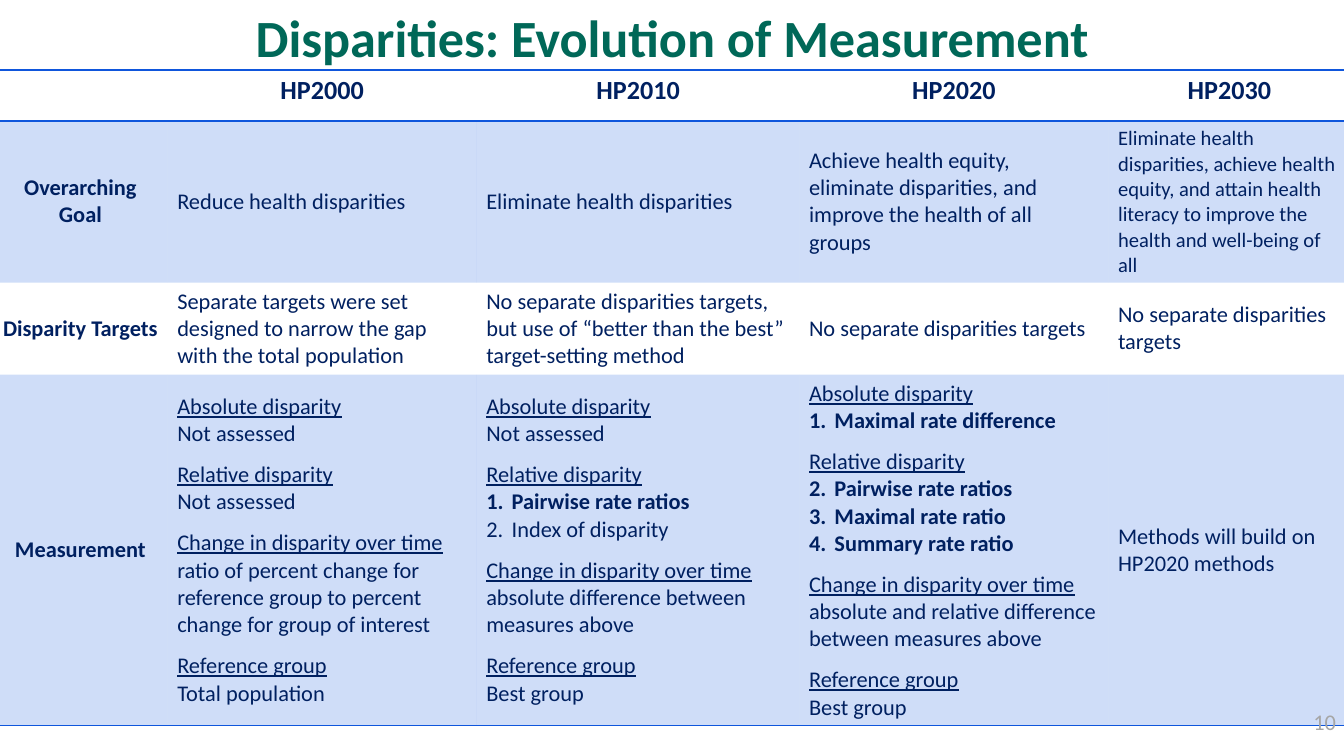
from lxml import etree
from pptx import Presentation
from pptx.dml.color import RGBColor
from pptx.enum.text import MSO_ANCHOR as ANCHOR, PP_ALIGN as ALIGN
from pptx.oxml.ns import qn
from pptx.util import Cm, Pt

NAVY, BLUE, GREEN, GRAY = "002060", "0F56DC", "006858", "A6A6A6"
COLS = [3.3, 5.84, 6.1, 5.84, 4.57]
ROWS = [0.8, 3.06, 1.74, 6.63]
NO_STYLE = "{2D5ABB26-0587-4C30-8999-92F81FD0307C}"

HEADS = ["", "HP2000", "HP2010", "HP2020", "HP2030"]
GOALS = [
    "Overarching Goal",
    "Reduce health disparities",
    "Eliminate health disparities",
    "Achieve health equity, eliminate disparities, and improve the health of all groups",
    "Eliminate health disparities, achieve health equity, and attain health literacy "
    "to improve the health and well-being of all",
]
TARGETS = [
    "Disparity Targets",
    "Separate targets were set designed to narrow the gap with the total population",
    "No separate disparities targets, but use of “better than the best” target-setting method",
    "No separate disparities targets",
    "No separate disparities targets",
]
ABSOLUTE, RELATIVE = "Absolute disparity", "Relative disparity"
CHANGE, REFERENCE = "Change in disparity over time ", "Reference group"
MEASURES = [
    "Measurement",
    [
        (ABSOLUTE, "Not assessed"),
        (RELATIVE, "Not assessed"),
        (CHANGE, "ratio of percent change for reference group to percent change "
                 "for group of interest"),
        (REFERENCE, "Total population"),
    ],
    [
        (ABSOLUTE, "Not assessed"),
        (RELATIVE, 1, [("Pairwise rate ratios", True), ("Index of disparity", False)]),
        (CHANGE, "absolute difference between measures above"),
        (REFERENCE, "Best group"),
    ],
    [
        (ABSOLUTE, 1, [("Maximal rate difference", True)]),
        (RELATIVE, 2, [("Pairwise rate ratios", True), ("Maximal rate ratio", True),
                       ("Summary rate ratio", True)]),
        (CHANGE, "absolute and relative difference between measures above"),
        (REFERENCE, "Best group"),
    ],
    "Methods will build on HP2020 methods",
]


def rgb(color):
    return RGBColor.from_string(color)


def add_run(p, text, size=12, color=NAVY, bold=False, underline=False):
    r = p.add_run()
    r.text = text
    r.font.name = "Calibri"
    r.font.size = Pt(size)
    r.font.bold = bold
    r.font.underline = underline
    r.font.color.rgb = rgb(color)


def add_text(tf, text, align=ALIGN.LEFT, before=0, number=None, **fmt):
    p = tf.paragraphs[0]
    if p.runs:
        p = tf.add_paragraph()
    p.alignment = align
    if before:
        p.space_before = Pt(before)
    if number:
        pPr = p._p.get_or_add_pPr()
        pPr.set("marL", str(Cm(0.48)))
        pPr.set("indent", str(-Cm(0.48)))
        etree.SubElement(pPr, qn("a:buAutoNum"), type="arabicPeriod", startAt=str(number))
    add_run(p, text, **fmt)
    return p


def add_box(s, text, left, top, width, height, anchor=ANCHOR.TOP, **fmt):
    tf = s.shapes.add_textbox(Cm(left), Cm(top), Cm(width), Cm(height)).text_frame
    tf.word_wrap = True
    tf.vertical_anchor = anchor
    add_text(tf, text, **fmt)


def add_measures(tf, blocks):
    for i, (head, *body) in enumerate(blocks):
        p = add_text(tf, head, before=7.3 if i else 0, underline=True)
        if head == CHANGE:
            add_run(p, body[0])
        elif len(body) == 1:
            add_text(tf, body[0])
        else:
            start, items = body
            for text, bold in items:
                add_text(tf, text, number=start, bold=bold)


def tint(cell):
    cell.fill.solid()
    cell.fill.fore_color.rgb = rgb(BLUE)
    clr = cell._tc.tcPr.find(".//" + qn("a:srgbClr"))
    etree.SubElement(clr, qn("a:alpha"), val="20000")


def add_borders(cell, sides):
    tcPr = cell._tc.get_or_add_tcPr()
    for i, side in enumerate(sides):
        ln = etree.Element(qn("a:ln" + side), w=str(Pt(1)))
        fill = etree.SubElement(ln, qn("a:solidFill"))
        etree.SubElement(fill, qn("a:srgbClr"), val=BLUE)
        tcPr.insert(i, ln)


def fill_cell(cell, content, row, col):
    cell.margin_left = cell.margin_right = Cm(0.18)
    cell.margin_top = cell.margin_bottom = Cm(0.1)
    cell.vertical_anchor = ANCHOR.MIDDLE if row else ANCHOR.TOP
    if row % 2:
        tint(cell)
    else:
        cell.fill.background()
    add_borders(cell, {0: "TB", 3: "B"}.get(row, ""))
    tf = cell.text_frame
    if isinstance(content, list):
        add_measures(tf, content)
    elif row == 0 or col == 0:
        add_text(tf, content, align=ALIGN.CENTER, size=12 if row else 14, bold=True)
    else:
        add_text(tf, content, size=11 if (row, col) == (1, 4) else 12)


def add_comparison(s, left, top):
    data = [HEADS, GOALS, TARGETS, MEASURES]
    frame = s.shapes.add_table(len(ROWS), len(COLS), Cm(left), Cm(top),
                               Cm(sum(COLS)), Cm(sum(ROWS)))
    table = frame.table
    table._tbl.tblPr.find(qn("a:tableStyleId")).text = NO_STYLE
    for column, width in zip(table.columns, COLS):
        column.width = Cm(width)
    for i, (height, contents) in enumerate(zip(ROWS, data)):
        table.rows[i].height = Cm(height)
        for j, content in enumerate(contents):
            fill_cell(table.cell(i, j), content, i, j)


def main():
    prs = Presentation()
    prs.slide_width, prs.slide_height = Cm(25.4), Cm(14.29)
    s = prs.slides.add_slide(prs.slide_layouts[6])
    add_box(s, "Disparities: Evolution of Measurement", 0, 0.03, 25.4, 1.32,
            anchor=ANCHOR.MIDDLE, align=ALIGN.CENTER, size=28, color=GREEN, bold=True)
    add_comparison(s, -0.13, 1.32)
    add_box(s, "10", 23.7, 13.26, 1.8, 0.97, align=ALIGN.RIGHT, color=GRAY)
    prs.save("out.pptx")


if __name__ == "__main__":
    main()
